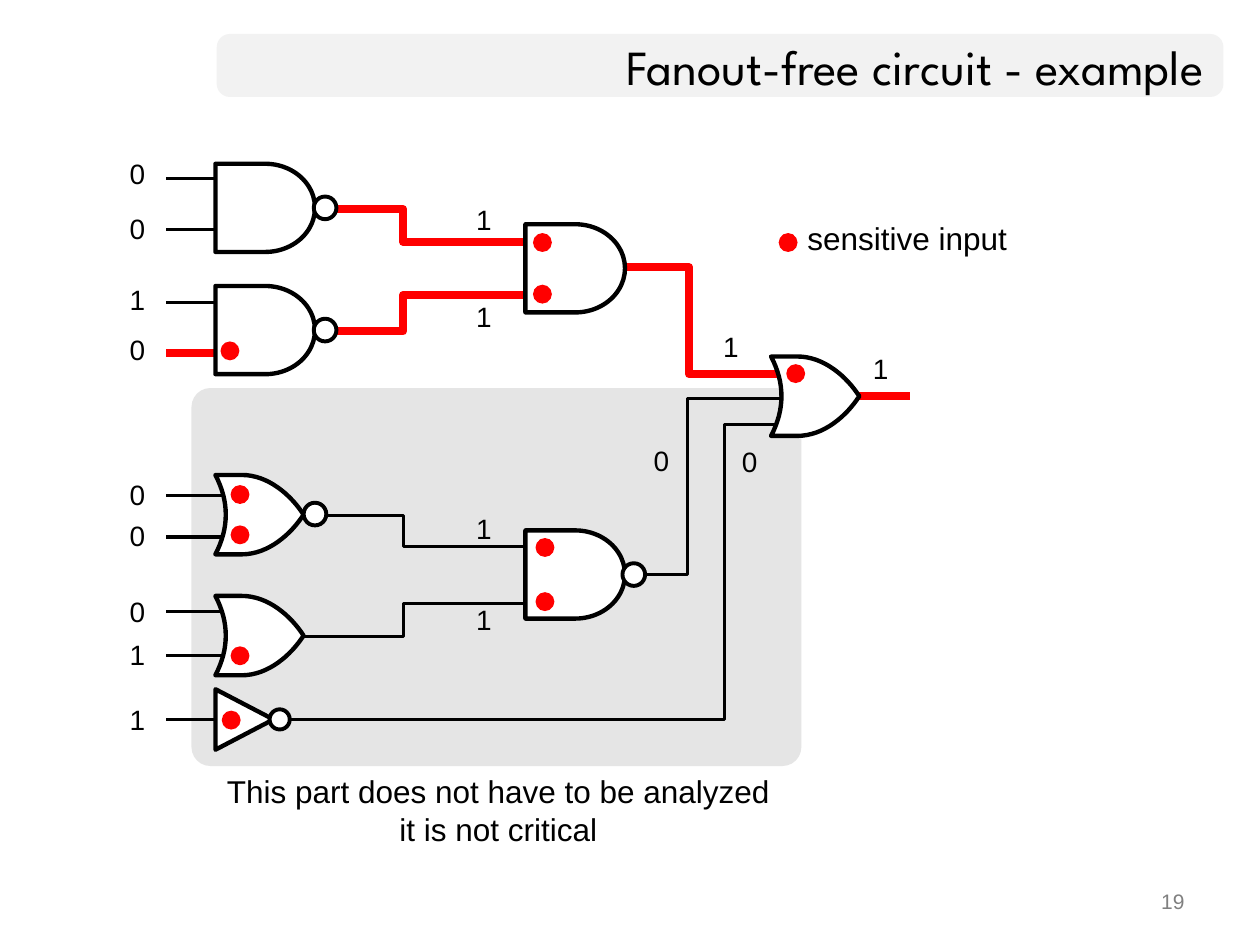
from lxml.etree import SubElement
from pptx import Presentation
from pptx.dml.color import RGBColor
from pptx.enum.shapes import MSO_CONNECTOR, MSO_SHAPE
from pptx.enum.text import MSO_ANCHOR, MSO_AUTO_SIZE, PP_ALIGN
from pptx.oxml.ns import qn
from pptx.util import Inches, Pt

COLORS = {"ink": "000000", "critical": "FF0000", "gate": "FFFFFF",
          "bar": "F2F2F2", "panel": "BFBFBF", "number": "808080"}
THIN, MEDIUM, THICK = 1.75, 2.25, 4.5

# Content: text, left, top, width, height, size, font, color, alignment
TEXTS = [
    ("Fanout-free circuit - example", 1.72, 0.27, 7.93, 0.5, 28, "League Spartan", "ink", PP_ALIGN.RIGHT),
    ("This part does not have to be analyzed\vit is not critical",
     1.67, 6.08, 4.57, 0.71, 18, "Arial", "ink", PP_ALIGN.CENTER),
    ("19", 7.17, 7, 2.33, 0.35, 12, "Arial", "number", PP_ALIGN.RIGHT),
]
LEGEND = ("sensitive input", 6.31, 1.69, 1.8, 0.4, 18)

# Signal values by column: left edge, then (value, top)
VALUES = {
    0.93: [("0", 1.19), ("0", 1.63), ("1", 2.19), ("0", 2.59), ("0", 3.74),
           ("0", 4.07), ("0", 4.67), ("1", 5.01), ("1", 5.53)],
    3.68: [("1", 1.56), ("1", 2.33), ("1", 4.01), ("1", 4.73)],
    5.09: [("0", 3.47)],
    5.64: [("1", 2.57)],
    5.79: [("0", 3.48)],
    6.83: [("1", 2.74)],
}

# Straight wires: start x, end x, y, color, width
INPUT_X = (1.32, 1.9)
STRAIGHT_WIRES = [(6.64, 7.22, 3.14, "critical", THICK)] + [
    (*INPUT_X, y, "ink", THIN) for y in (1.42, 1.82, 2.4, 3.93, 4.85, 5.2)
] + [(*INPUT_X, 2.8, "critical", THICK), (*INPUT_X, 4.26, "ink", MEDIUM)]

# Stepped wires: start x, start y, bend x, end x, end y, color, width
STEPPED_WIRES = [
    (4.8, 2.12, 5.47, 6.43, 2.97, "critical", THICK),
    (4.85, 4.56, 5.46, 6.36, 3.16, "ink", THIN),
    (1.32, 5.71, 5.75, 6.18, 3.37, "ink", THIN),
    (2.36, 1.66, 3.2, 4.43, 1.92, "critical", THICK),
    (2.36, 2.63, 3.2, 4.43, 2.34, "critical", THICK),
    (2.36, 4.09, 3.2, 4.43, 4.34, "ink", THIN),
    (2.36, 5.05, 3.2, 4.43, 4.79, "ink", THIN),
]

# Gates: left, top; bubbles: left, top, diameter
AND_GATES = [(4.17, 1.78), (1.71, 1.3), (1.71, 2.27), (4.17, 4.21)]
OR_GATES = [(6.12, 2.83), (1.71, 4.73), (1.71, 3.77)]
BUBBLES = [(2.49, 1.56, 0.18), (2.49, 2.53, 0.18), (4.94, 4.47, 0.18),
           (2.14, 5.63, 0.16), (2.41, 3.99, 0.18)]
SENSITIVE_DOTS = [(1.75, 2.71), (4.23, 1.85), (4.23, 2.26), (1.76, 5.64), (4.25, 4.27),
                  (4.25, 4.7), (6.18, 1.85), (6.24, 2.89), (1.83, 5.13), (1.83, 3.85), (1.83, 4.17)]

presentation = Presentation()
presentation.slide_width, presentation.slide_height = Inches(10), Inches(7.5)
slide = presentation.slides.add_slide(presentation.slide_layouts[6])
shapes = slide.shapes


def color(name):
    return RGBColor.from_string(COLORS[name])


def style(shape, fill=None, line=None, width=THIN):
    shape.shadow.inherit = False
    if fill:
        shape.fill.solid()
        shape.fill.fore_color.rgb = color(fill)
    else:
        shape.fill.background()
    if line:
        shape.line.color.rgb = color(line)
        shape.line.width = Pt(width)
    else:
        shape.line.fill.background()


def add_box(kind, left, top, width, height, fill, line=None, line_width=THIN):
    shape = shapes.add_shape(kind, Inches(left), Inches(top), Inches(width), Inches(height))
    style(shape, fill, line, line_width)
    return shape


def add_text(text, left, top, width, height, size, font="Arial", ink="ink",
             alignment=PP_ALIGN.LEFT, wrap=True):
    box = shapes.add_textbox(Inches(left), Inches(top), Inches(width), Inches(height))
    frame = box.text_frame
    frame.word_wrap = wrap
    if not wrap:
        frame.auto_size = MSO_AUTO_SIZE.SHAPE_TO_FIT_TEXT
    paragraph = frame.paragraphs[0]
    paragraph.text = text
    paragraph.alignment = alignment
    paragraph.font.size = Pt(size)
    paragraph.font.name = font
    paragraph.font.color.rgb = color(ink)
    return frame


def add_outline(points, closed, **look):
    points = [(Inches(x), Inches(y)) for x, y in points]
    builder = shapes.build_freeform(*points[0])
    builder.add_line_segments(points[1:], close=closed)
    style(builder.convert_to_shape(), **look)


def curve(start, first, second, end, steps=16):
    """Points of a cubic Bezier curve."""
    return [tuple((1 - t) ** 3 * a + 3 * (1 - t) ** 2 * t * b + 3 * (1 - t) * t ** 2 * c + t ** 3 * d
                  for a, b, c, d in zip(start, first, second, end))
            for t in (step / steps for step in range(steps + 1))]


def or_gate_points(left, top, width=0.7, height=0.63):
    upper = curve((0.21, 0), (0.42, 0), (0.6, 0.16), (width, height / 2))
    lower = [(x, height - y) for x, y in reversed(upper)]
    back = curve((0, height), (0.11, 0.42), (0.11, 0.21), (0, 0))
    return [(left + x, top + y) for x, y in [(0, 0)] + upper + lower + back[:-1]]


# Title bar and non-critical area
title_bar = add_box(MSO_SHAPE.ROUNDED_RECTANGLE, 1.72, 0.27, 7.99, 0.5, "bar")
title_bar.adjustments[0] = 0.21
panel = add_box(MSO_SHAPE.ROUNDED_RECTANGLE, 1.52, 3.08, 4.84, 3, "panel")
panel.adjustments[0] = 0.05
panel_color = panel.fill._xPr.find(qn("a:solidFill"))[0]
SubElement(panel_color, qn("a:alpha"), val="40000")

# Texts and signal values
title_frame, *_ = [add_text(*entry) for entry in TEXTS]
title_frame.vertical_anchor = MSO_ANCHOR.MIDDLE
add_text(*LEGEND, wrap=False)
for left, column in VALUES.items():
    for value, top in column:
        add_text(value, left, top, 0.33, 0.37, 16, wrap=False)

# Wires
for start_x, end_x, y, ink, width in STRAIGHT_WIRES:
    wire = shapes.add_connector(MSO_CONNECTOR.STRAIGHT, Inches(start_x), Inches(y), Inches(end_x), Inches(y))
    wire.line.color.rgb = color(ink)
    wire.line.width = Pt(width)
    SubElement(wire._element.spPr, qn("a:effectLst"))
for start_x, start_y, bend_x, end_x, end_y, ink, width in STEPPED_WIRES:
    corners = [(start_x, start_y), (bend_x, start_y), (bend_x, end_y), (end_x, end_y)]
    add_outline(corners, False, line=ink, width=width)

# Gates
for left, top in AND_GATES:
    add_box(MSO_SHAPE.FLOWCHART_DELAY, left, top, 0.79, 0.7, "gate", "ink", 2.5)
for left, top in OR_GATES:
    add_outline(or_gate_points(left, top), True, fill="gate", line="ink", width=2.5)
inverter = add_box(MSO_SHAPE.ISOSCELES_TRIANGLE, 1.7, 5.48, 0.48, 0.46, "gate", "ink", 2.5)
inverter.rotation = 90
for left, top, diameter in BUBBLES:
    add_box(MSO_SHAPE.OVAL, left, top, diameter, diameter, "gate", "ink", MEDIUM)

# Sensitive inputs
for left, top in SENSITIVE_DOTS:
    add_box(MSO_SHAPE.OVAL, left, top, 0.15, 0.15, "critical")

presentation.save("out.pptx")
